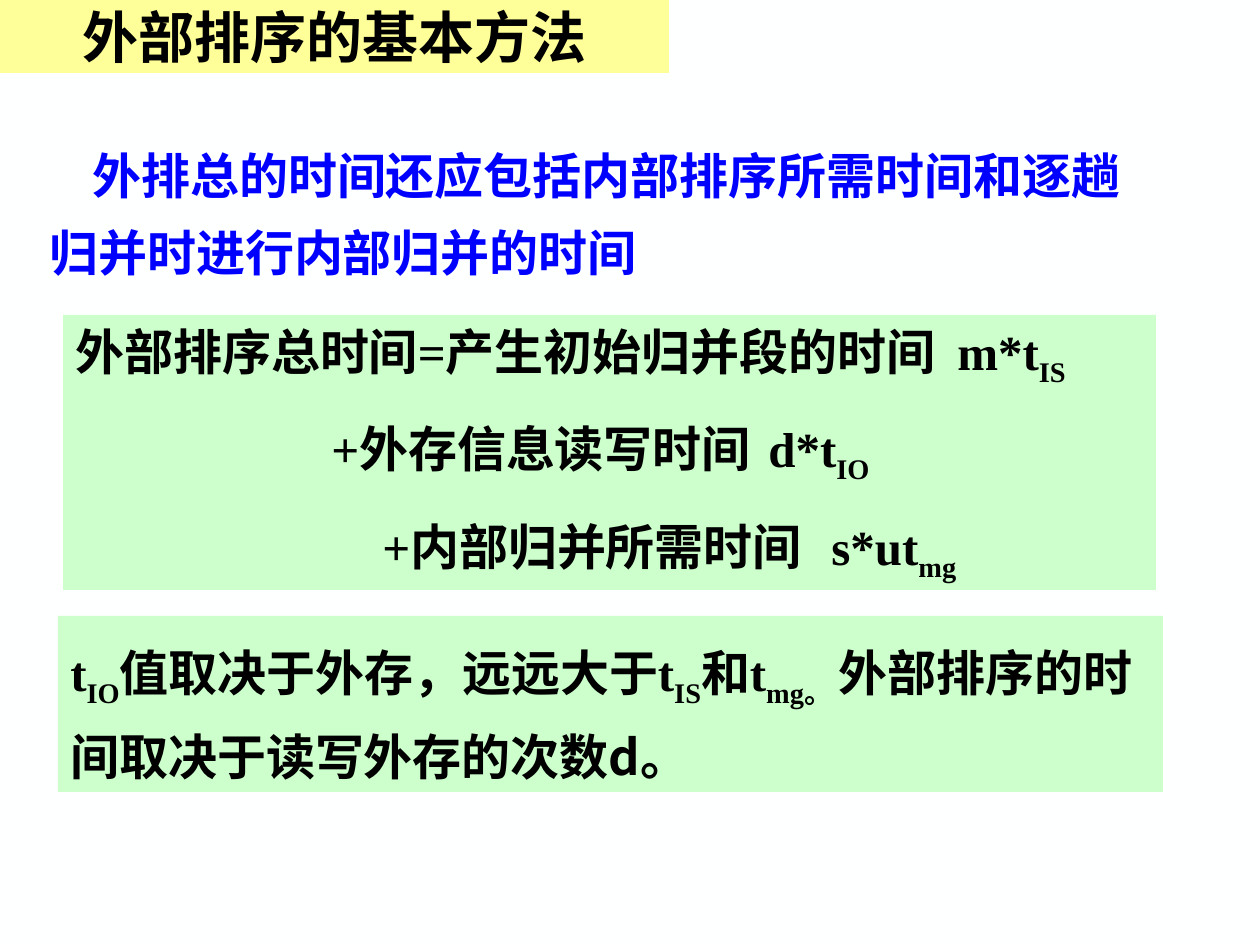
from lxml import etree
from pptx import Presentation
from pptx import util as u
from pptx.dml.color import RGBColor
from pptx.enum import shapes, text
from pptx.oxml.ns import qn

PX = u.Inches(1) // 126
COLORS = {"page": "FEFFFF", "title": "FFFF99", "panel": "CCFFCC", "intro": "0000FF", "ink": "000000"}
SANS, SERIF = "Noto Sans CJK SC", "Times New Roman"


def rgb(name):
    """Return a named colour."""
    return RGBColor.from_string(COLORS[name])


def add_box(page, area, fill=None):
    """Add a wrapped text area, filled if a colour is named, and return its frame."""
    area = [value * PX for value in area]
    if fill:
        box = page.shapes.add_shape(shapes.MSO_SHAPE.RECTANGLE, *area)
        box.shadow.inherit = False
        box.fill.solid()
        box.fill.fore_color.rgb = rgb(fill)
        box.line.fill.background()
    else:
        box = page.shapes.add_textbox(*area)
    frame = box.text_frame
    frame.word_wrap = True
    frame.vertical_anchor = text.MSO_ANCHOR.TOP
    return frame


def style(para, font=SANS, size=28, color="ink", align=text.PP_ALIGN.LEFT, indent=0, tab=None):
    """Set the alignment, first-line indent, tab stop and font of a paragraph."""
    para.alignment = align
    properties = para._p.get_or_add_pPr()
    properties.set("marL", "0")
    properties.set("indent", str(indent * PX))
    if tab:
        stops = etree.SubElement(properties, qn("a:tabLst"))
        etree.SubElement(stops, qn("a:tab"), pos=str(tab * PX), algn="l")
    para.font.name, para.font.size, para.font.bold = font, u.Pt(size), True
    para.font.color.rgb = rgb(color)
    etree.SubElement(properties.find(qn("a:defRPr")), qn("a:ea"), typeface=SANS)


def add_spans(para, *parts):
    """Add spans in turn, every second one as a subscript."""
    for index, part in enumerate(parts):
        span = para.add_run()
        span.text = part
        if index % 2:
            span.font._element.set("baseline", "-25000")
    return para.runs


def add_title(page, area):
    """Add the title band."""
    frame = add_box(page, area, "title")
    frame.vertical_anchor = text.MSO_ANCHOR.MIDDLE
    para = frame.paragraphs[0]
    style(para, size=32, align=text.PP_ALIGN.CENTER)
    add_spans(para, "外部排序的基本方法")


def add_intro(page, area):
    """Add the opening statement."""
    para = add_box(page, area).paragraphs[0]
    style(para, color="intro", indent=43)
    para.line_spacing = 1.3
    add_spans(para, "外排总的时间还应包括内部排序所需时间和逐趟归并时进行内部归并的时间")


def add_formula(page, area):
    """Add the sum of the three time costs."""
    frame = add_box(page, area, "panel")
    terms = [
        (0, 907, "外部排序总时间=产生初始归并段的时间\tm*t", "IS"),
        (256, 732, "+外存信息读写时间\td*t", "IO"),
        (307, 771, "+内部归并所需时间\ts*ut", "mg"),
    ]
    for index, (indent, tab, term, subscript) in enumerate(terms):
        para = frame.add_paragraph() if index else frame.paragraphs[0]
        style(para, SERIF, indent=indent, tab=tab)
        if index:
            para.space_before = u.Pt(17.5)
        add_spans(para, term, subscript)


def add_conclusion(page, area):
    """Add the closing remark on which cost dominates."""
    para = add_box(page, area, "panel").paragraphs[0]
    style(para, SERIF)
    para.line_spacing = 1.3
    spans = add_spans(para, "t", "IO", "值取决于外存，远远大于t", "IS", "和t", "mg。 ",
                      "外部排序的时间取决于读写外存的次数d。")
    spans[-1].font.name = SANS


def main():
    """Build and save the deck."""
    deck = Presentation()
    deck.slide_width, deck.slide_height = 1260 * PX, 945 * PX
    page = deck.slides.add_slide(deck.slide_layouts[6])
    page.background.fill.solid()
    page.background.fill.fore_color.rgb = rgb("page")
    add_intro(page, (37, 122, 1131, 166))
    add_conclusion(page, (58, 616, 1105, 176))
    add_formula(page, (63, 315, 1093, 275))
    add_title(page, (0, 0, 669, 73))
    deck.save("out.pptx")


if __name__ == "__main__":
    main()
